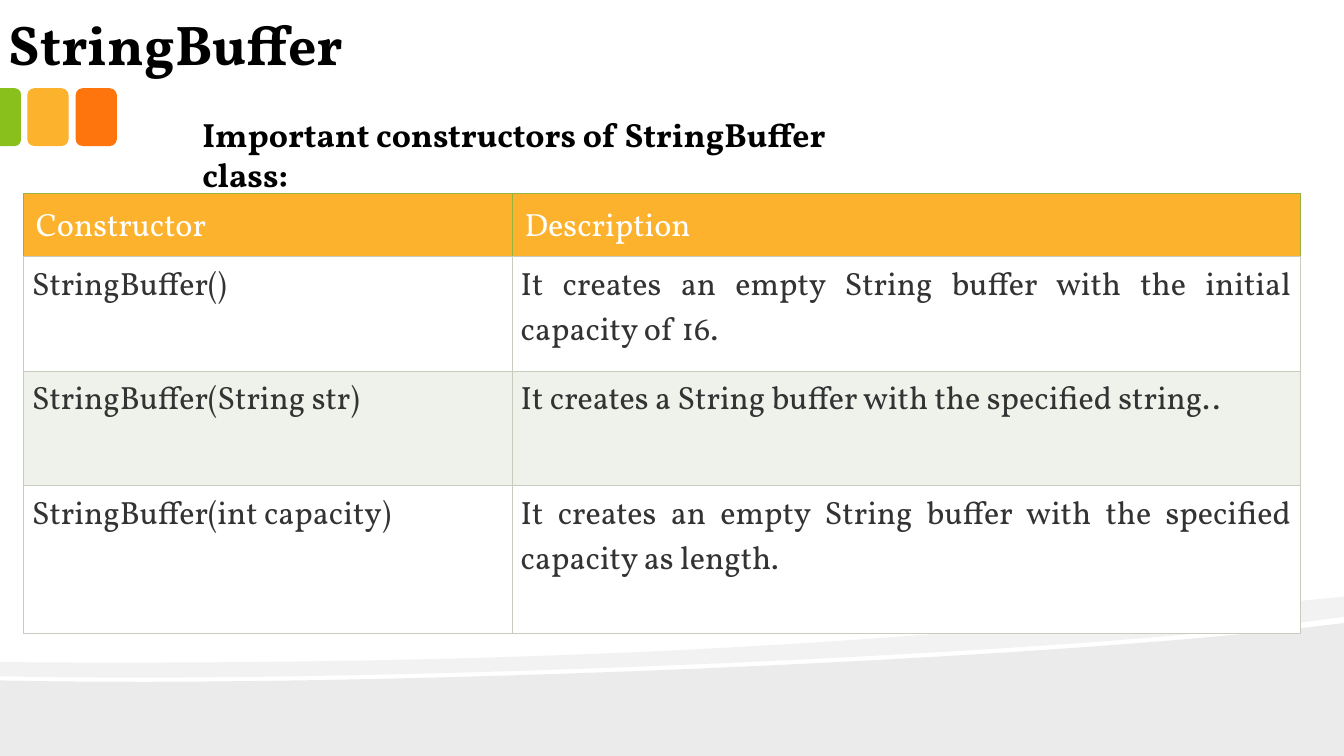
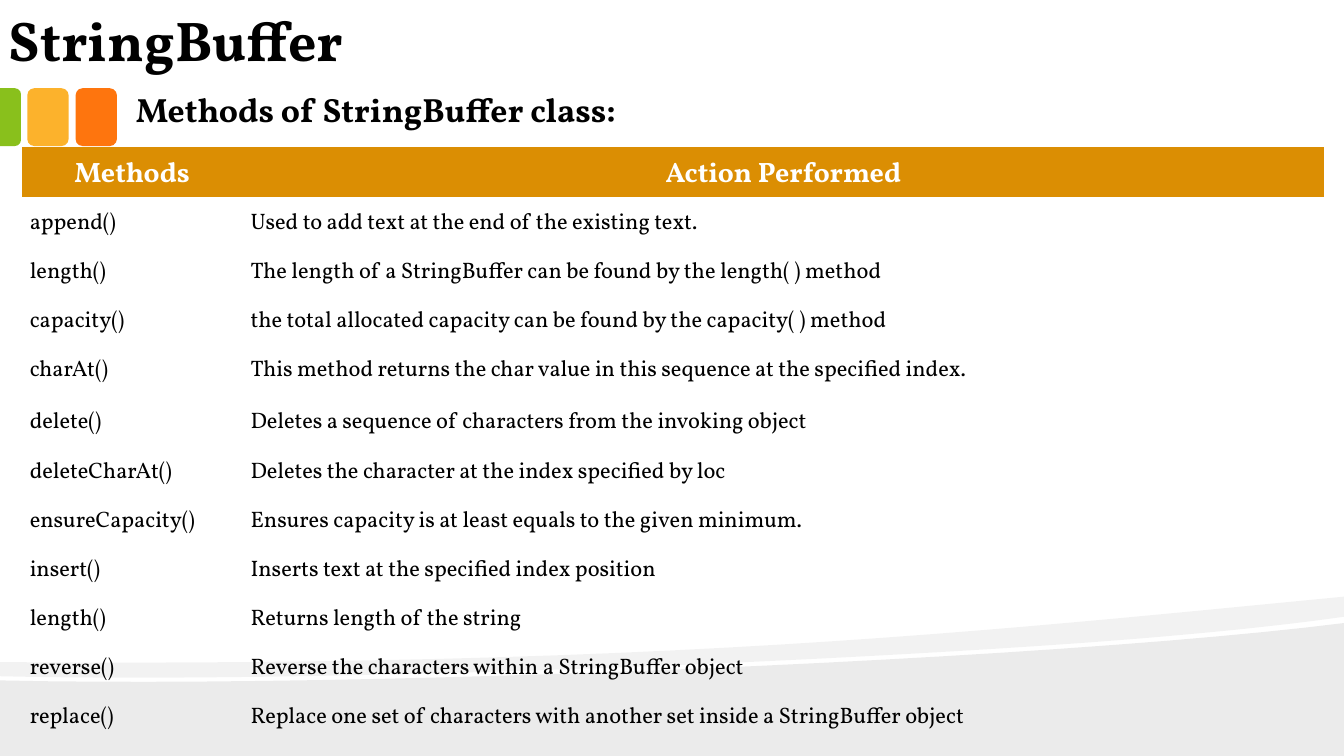
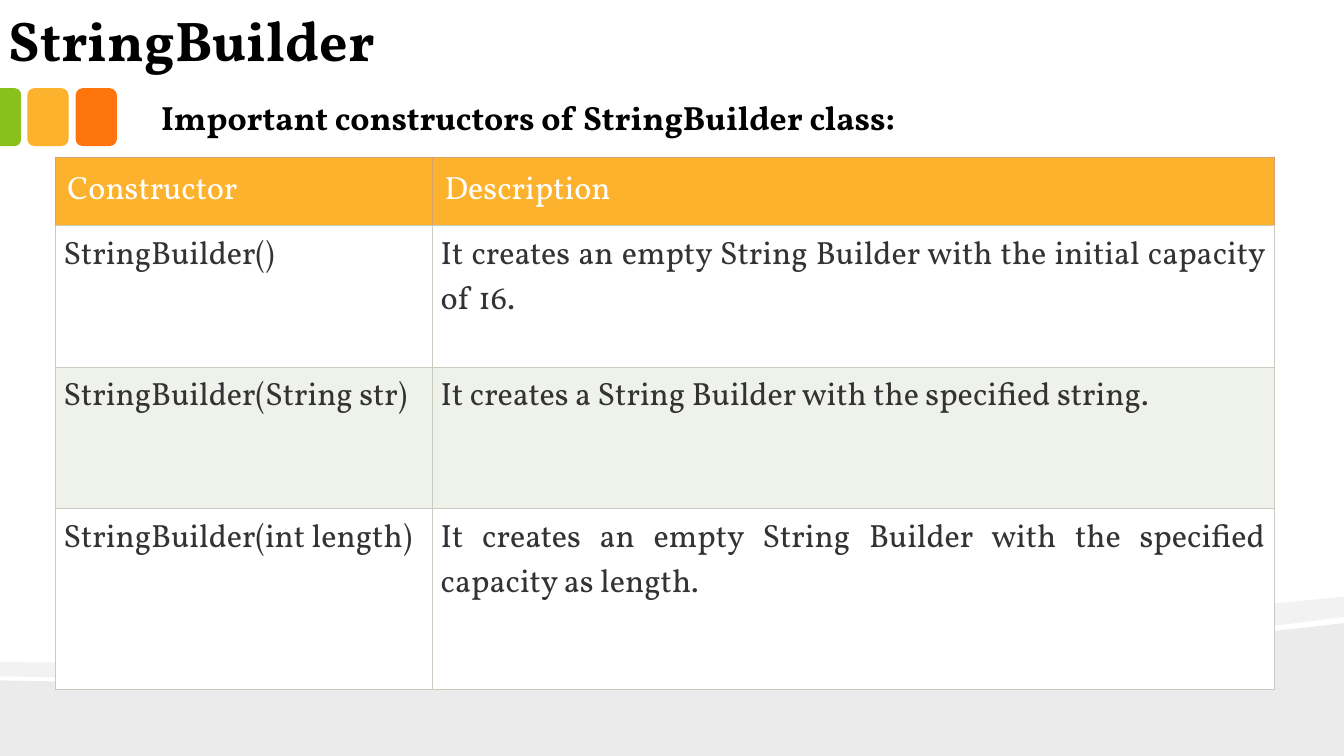
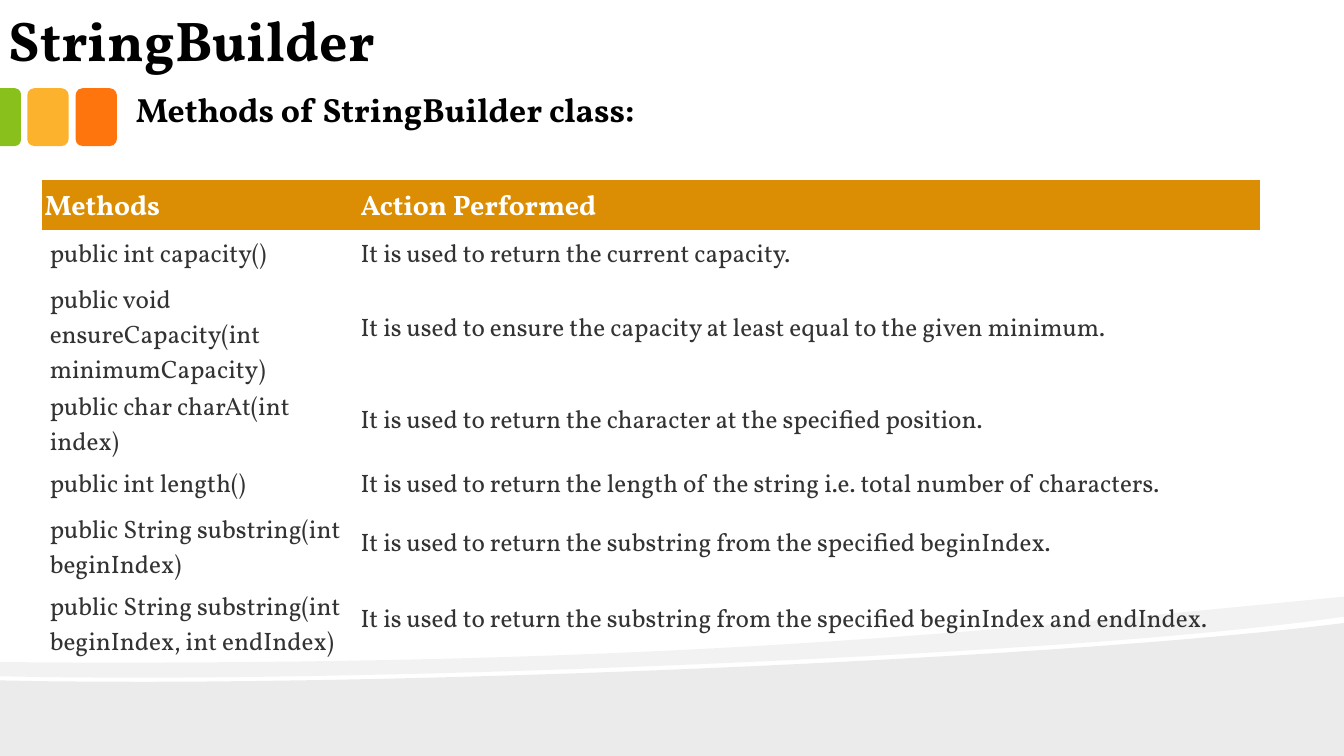
"""Build four slides on the StringBuffer and StringBuilder classes."""
from dataclasses import dataclass

from lxml import etree
from pptx import Presentation
from pptx.dml.color import RGBColor
from pptx.enum.shapes import MSO_SHAPE
from pptx.enum.text import MSO_ANCHOR, MSO_AUTO_SIZE, PP_ALIGN
from pptx.oxml.ns import qn
from pptx.util import Pt

ROUND, TAB = MSO_SHAPE.ROUNDED_RECTANGLE, MSO_SHAPE.ROUND_2_SAME_RECTANGLE
TOP, MIDDLE, BOTTOM = MSO_ANCHOR.TOP, MSO_ANCHOR.MIDDLE, MSO_ANCHOR.BOTTOM
LEFT, CENTER, JUSTIFY = PP_ALIGN.LEFT, PP_ALIGN.CENTER, PP_ALIGN.JUSTIFY
NO_FIT = MSO_AUTO_SIZE.NONE
NO_STYLE = "{2D5ABB26-0587-4C30-8999-92F81FD0307C}"


@dataclass(frozen=True)
class Theme:
    """Colours and type sizes."""
    font: str = "Vollkorn"
    black: str = "000000"
    white: str = "FFFFFF"
    gray: str = "333333"
    green: str = "89C01C"
    amber: str = "FCB22C"
    orange: str = "FE750E"
    ochre: str = "DB8E03"
    pale: str = "EFF1EB"
    rule: str = "C7CCBE"
    moss: str = "98B33B"
    tan: str = "D8A06C"
    title: int = 40
    lead: int = 24
    grid: int = 23
    head: int = 20
    wide: int = 18
    dense: int = 16


THEME = Theme()


def write(frame, text, size, color, bold=False, align=LEFT):
    """Put one styled paragraph in a text frame."""
    frame.text = text
    frame.word_wrap = True
    para = frame.paragraphs[0]
    para.alignment = align
    font = para.font
    font.name, font.size, font.bold = THEME.font, Pt(size), bold
    font.color.rgb = RGBColor.from_string(color)


def curve(start, one, two, end, steps=24):
    """Return points along a cubic curve, without its start."""
    points = []
    for step in range(1, steps + 1):
        t = step / steps
        u = 1 - t
        parts = (u ** 3, 3 * u * u * t, 3 * u * t * t, t ** 3)
        points.append(tuple(
            Pt(sum(part * knot[axis] for part, knot in zip(parts, (start, one, two, end))))
            for axis in (0, 1)))
    return points


deck = Presentation()
deck.slide_width, deck.slide_height = Pt(960), Pt(540)
layout = deck.slide_layouts.get_by_name("Title Only")
first = deck.slides.add_slide(layout)

hill = curve((0, 486), (253.4, 491.8), (750.2, 471.6), (960, 445))
hill += [(Pt(960), Pt(540)), (Pt(0), Pt(540))]
band = curve((0, 473), (469.4, 476.6), (699.1, 451.4), (960, 426.2))
band += [(Pt(960), Pt(440.6))]
band += curve((960, 440.6), (903.6, 448.6), (827.3, 455.8), (740.9, 461.5))
band += curve((740.9, 461.5), (502.6, 477.4), (185.8, 487.4), (0, 483.1))

decor = []
for y, points, alpha in ((486, hill, 8000), (473, band, 5000)):
    pen = first.shapes.build_freeform(Pt(0), Pt(y))
    pen.add_line_segments(points, close=True)
    decor.append((pen.convert_to_shape(), THEME.black, alpha))
for x, color in ((54, THEME.orange), (19.5, THEME.amber)):
    block = first.shapes.add_shape(ROUND, Pt(x), Pt(63), Pt(29.5), Pt(41.3))
    block.adjustments[0] = 0.17
    decor.append((block, color, None))
stub = first.shapes.add_shape(TAB, Pt(-13.15), Pt(76.15), Pt(41.3), Pt(15))
stub.rotation = 90
stub.adjustments[0] = 0.29
decor.append((stub, THEME.green, None))

tree = deck.slide_master.shapes.element
for place, (shape, color, alpha) in enumerate(decor):
    shape.shadow.inherit = False
    shape.line.fill.background()
    shape.fill.solid()
    shape.fill.fore_color.rgb = RGBColor.from_string(color)
    if alpha:
        tint = next(shape.element.spPr.iter(qn("a:srgbClr")))
        etree.SubElement(tint, qn("a:alpha"), val=str(alpha))
    shape.element.nvSpPr.cNvPr.set("id", str(20 + place))
    tree.insert(2 + place, shape.element)

GRID = dict(anchor=TOP, band=THEME.amber, size=THEME.grid, head=THEME.grid, bold=False,
            align=JUSTIFY, ink=THEME.gray, pad=5.76, inset=8.64, edge=8.64,
            fills=(THEME.white, THEME.pale))
LIST = dict(anchor=MIDDLE, band=THEME.ochre, head=THEME.head, bold=True, align=LEFT,
            inset=5.76, edge=2.16, fills=None, rim=None)
PAIR = ("Constructor", "Description")
NAMES = ("Methods", "Action Performed")

PAGES = (
    ("StringBuffer", 0, "Important constructors of StringBuffer class:", (137.5, 77.8, 525),
     GRID | dict(rim=THEME.moss, lead=LEFT), (17, 138.2), (349.2, 562.6), (44.6, 82, 82, 105.5),
     (PAIR,
      ("StringBuffer()",
       "It creates an empty String buffer with the initial capacity of 16."),
      ("StringBuffer(String str)", "It creates a String buffer with the specified string.."),
      ("StringBuffer(int capacity)",
       "It creates an empty String buffer with the specified capacity as length."))),
    ("StringBuffer", -3, "Methods of StringBuffer class:", (90, 60, 822),
     LIST | dict(size=THEME.dense, ink=THEME.black, pad=7.92, lead=CENTER),
     (15.5, 105.2), (157.7, 772.7), (34,) * 4 + (37.4,) + (34,) * 6 + (37.4,),
     (NAMES,
      ("append()", "Used to add text at the end of the existing text."),
      ("length()", "The length of a StringBuffer can be found by the length( ) method"),
      ("capacity()", "the total allocated capacity can be found by the capacity( ) method"),
      ("charAt()",
       "This method returns the char value in this sequence at the specified index."),
      ("delete()", "Deletes a sequence of characters from the invoking object"),
      ("deleteCharAt()", "Deletes the character at the index specified by loc"),
      ("ensureCapacity()", "Ensures capacity is at least equals to the given minimum."),
      ("insert()", "Inserts text at the specified index position"),
      ("length()", "Returns length of the string"),
      ("reverse()", "Reverse the characters within a StringBuffer object"),
      ("replace()",
       "Replace one set of characters with another set inside a StringBuffer object"))),
    ("StringBuilder", -3, "Important constructors of StringBuilder class:", (108, 66, 823),
     GRID | dict(rim=THEME.tan, lead=LEFT), (39.5, 112.2), (269.6, 601.2), (49, 101, 101, 129.5),
     (PAIR,
      ("StringBuilder()",
       "It creates an empty String Builder with the initial capacity of 16."),
      ("StringBuilder(String str)", "It creates a String Builder with the specified string."),
      ("StringBuilder(int length)",
       "It creates an empty String Builder with the specified capacity as length."))),
    ("StringBuilder", -3, "Methods of StringBuilder class:", (90, 60, 822),
     LIST | dict(size=THEME.wide, ink=THEME.gray, pad=5.76, lead=LEFT),
     (29.8, 128.8), (222, 648), (25.2,) + (28,) * 5 + (40.3,),
     (NAMES,
      ("public int capacity()", "It is used to return the current capacity."),
      ("public void ensureCapacity(int minimumCapacity)",
       "It is used to ensure the capacity at least equal to the given minimum."),
      ("public char charAt(int index)",
       "It is used to return the character at the specified position."),
      ("public int length()",
       "It is used to return the length of the string i.e. total number of characters."),
      ("public String substring(int beginIndex)",
       "It is used to return the substring from the specified beginIndex."),
      ("public String substring(int beginIndex, int endIndex)",
       "It is used to return the substring from the specified beginIndex and endIndex."))),
)

for number, (name, rise, lead, spot, look, start, cols, rows, cells) in enumerate(PAGES):
    slide = deck.slides.add_slide(layout) if number else first

    title = slide.shapes.title
    title.left, title.top, title.width, title.height = Pt(-3), Pt(rise), Pt(747), Pt(60)
    frame = title.text_frame
    write(frame, name, THEME.title, THEME.black, True)
    frame.auto_size, frame.vertical_anchor = NO_FIT, BOTTOM
    frame.margin_left = frame.margin_right = Pt(9.4)
    frame.margin_top = frame.margin_bottom = Pt(5)

    x, y, width = spot
    box = slide.shapes.add_textbox(Pt(x), Pt(y), Pt(width), Pt(36))
    write(box.text_frame, lead, THEME.lead, THEME.black, True)

    holder = slide.shapes.add_table(len(rows), len(cols), Pt(start[0]), Pt(start[1]),
                                    Pt(sum(cols)), Pt(sum(rows)))
    next(holder.element.iter(qn("a:tableStyleId"))).text = NO_STYLE
    table = holder.table
    table.first_row = table.horz_banding = False
    for column, width in zip(table.columns, cols):
        column.width = Pt(width)
    for r, (height, texts) in enumerate(zip(rows, cells)):
        table.rows[r].height = Pt(height)
        for c, text in enumerate(texts):
            cell = table.cell(r, c)
            cell.vertical_anchor = look["anchor"]
            if r == 0:
                write(cell.text_frame, text, look["head"], THEME.white, look["bold"],
                      look["lead"])
                side = look["inset"] if c else look["edge"]
                tall, fill = look["inset"], look["band"]
            else:
                write(cell.text_frame, text, look["size"], look["ink"], False, look["align"])
                side, tall = 5.76, look["pad"]
                fill = look["fills"] and look["fills"][(r - 1) % 2]
            cell.margin_left = cell.margin_right = Pt(side)
            cell.margin_top = cell.margin_bottom = Pt(tall)
            if fill:
                cell.fill.solid()
                cell.fill.fore_color.rgb = RGBColor.from_string(fill)
            else:
                cell.fill.background()
            if look["rim"]:
                props = cell._tc.get_or_add_tcPr()
                for place, edge in enumerate("LRTB"):
                    color = look["rim"] if r == 0 and edge != "B" else THEME.rule
                    line = etree.Element(qn("a:ln" + edge), w=str(Pt(0.75)))
                    solid = etree.SubElement(line, qn("a:solidFill"))
                    etree.SubElement(solid, qn("a:srgbClr"), val=color)
                    props.insert(place, line)

deck.save("out.pptx")
